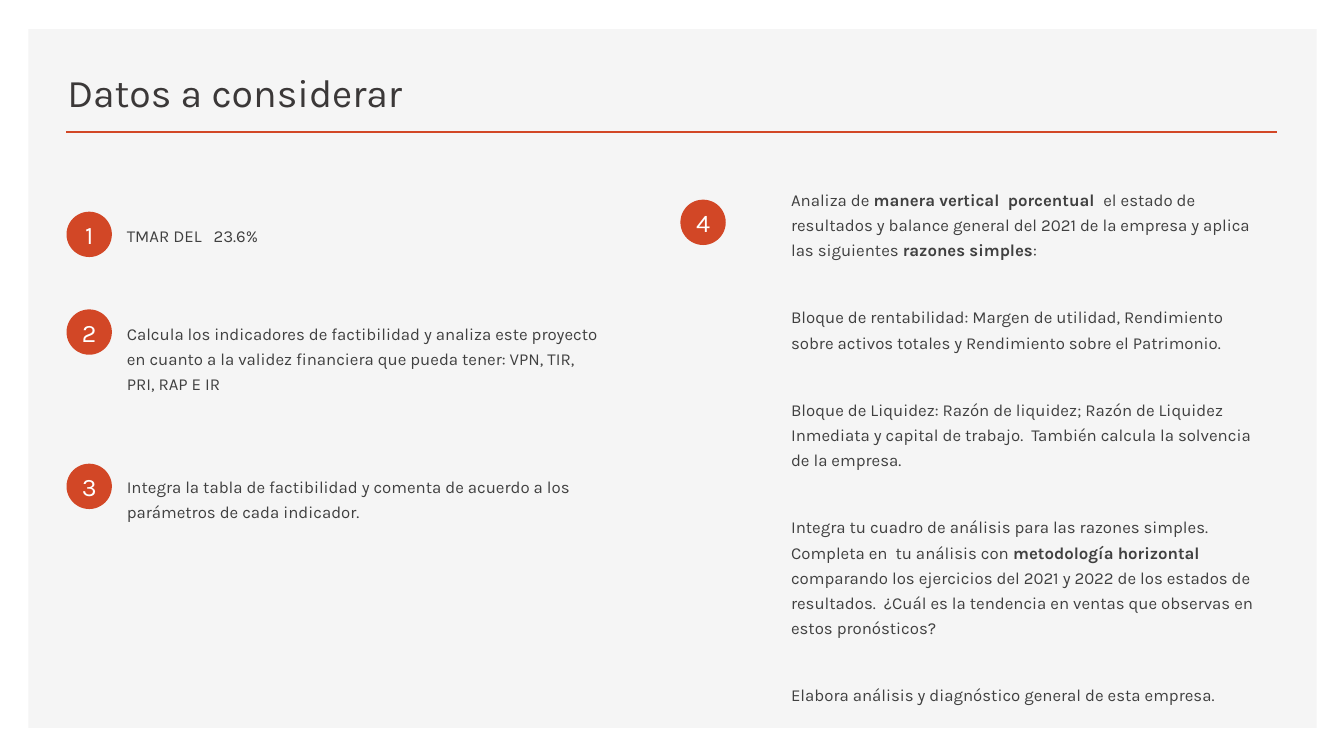
from dataclasses import dataclass

import pptx
import pptx.dml.color
import pptx.enum.shapes
import pptx.enum.text
import pptx.oxml.ns
import pptx.util
from lxml import etree

Pt = pptx.util.Pt
ALIGN = pptx.enum.text.PP_ALIGN
ANCHOR = pptx.enum.text.MSO_ANCHOR
SHAPE = pptx.enum.shapes.MSO_SHAPE

FONT = "Karla"
ORANGE = "D24726"
PANEL = "F5F5F5"
TITLE = "3B3838"
BODY = "404040"
WHITE = "FFFFFF"
BADGE = 32.4


@dataclass
class Step:
    badge_x: float
    badge_y: float
    x: float
    y: float
    w: float
    h: float
    paragraphs: list[str]
    after: float = 20


STEPS = [
    Step(47.5, 151.2, 83.5, 154.1, 361.4, 46.8, ["TMAR DEL   23.6%"], after=6),
    Step(47.5, 221, 83.5, 223.9, 355, 84.2, [
        "Calcula los indicadores de factibilidad y analiza este proyecto en cuanto "
        "a la validez financiera que pueda tener: VPN, TIR, PRI, RAP E IR",
    ]),
    Step(47.5, 331.2, 83.5, 333.4, 355, 59.8, [
        "Integra la tabla de factibilidad y comenta de acuerdo a los parámetros "
        "de cada indicador.",
    ], after=6),
    Step(486, 142.6, 558, 128.2, 355, 389.5, [
        "Analiza de **manera vertical  porcentual  **el estado de resultados y balance "
        "general del 2021 de la empresa y aplica las siguientes **razones simples**:",
        "Bloque de rentabilidad: Margen de utilidad, Rendimiento sobre activos totales "
        "y Rendimiento sobre el Patrimonio.",
        "Bloque de Liquidez: Razón de liquidez; Razón de Liquidez Inmediata y capital "
        "de trabajo.  También calcula la solvencia de la empresa.",
        "Integra tu cuadro de análisis para las razones simples. Completa en  tu análisis "
        "con **metodología horizontal **comparando los ejercicios del 2021 y 2022 de los "
        "estados de resultados.  ¿Cuál es la tendencia en ventas que observas en estos "
        "pronósticos?",
        "Elabora análisis y diagnóstico general de esta empresa.",
    ]),
]


def rgb(value: str) -> pptx.dml.color.RGBColor:
    return pptx.dml.color.RGBColor.from_string(value)


def write(tf, paragraphs: list[str], *, size: float, color: str, align=ALIGN.LEFT,
          anchor=ANCHOR.TOP, line=None, before=None, after=None) -> None:
    """Fill a text frame; text between ** marks is bold."""
    tf.word_wrap = True
    tf.vertical_anchor = anchor
    for i, text in enumerate(paragraphs):
        p = tf.add_paragraph() if i else tf.paragraphs[0]
        p.alignment = align
        p.line_spacing = line
        p.space_before = before
        p.space_after = after
        for j, part in enumerate(text.split("**")):
            r = p.add_run()
            r.text = part
            r.font.name = FONT
            r.font.size = Pt(size)
            r.font.bold = j % 2 == 1
            r.font.color.rgb = rgb(color)


def add_filled(s, kind, x: float, y: float, w: float, h: float, color: str):
    sp = s.shapes.add_shape(kind, Pt(x), Pt(y), Pt(w), Pt(h))
    sp.shadow.inherit = False
    sp.fill.solid()
    sp.fill.fore_color.rgb = rgb(color)
    sp.line.fill.background()
    return sp


def add_rule(s, x1: float, x2: float, y: float) -> None:
    c = s.shapes.add_connector(pptx.enum.shapes.MSO_CONNECTOR.STRAIGHT,
                               Pt(x1), Pt(y), Pt(x2), Pt(y))
    c.line.color.rgb = rgb(ORANGE)
    c.line.width = Pt(2)
    etree.SubElement(c._element.spPr, pptx.oxml.ns.qn("a:effectLst"))


def add_text(s, x: float, y: float, w: float, h: float, paragraphs: list[str],
             **fmt) -> None:
    sp = s.shapes.add_textbox(Pt(x), Pt(y), Pt(w), Pt(h))
    write(sp.text_frame, paragraphs, **fmt)


def add_step(s, number: int, step: Step) -> None:
    sp = add_filled(s, SHAPE.OVAL, step.badge_x, step.badge_y, BADGE, BADGE, ORANGE)
    tf = sp.text_frame
    tf.margin_left = tf.margin_right = tf.margin_top = tf.margin_bottom = 0
    write(tf, [str(number)], size=18, color=WHITE, align=ALIGN.CENTER,
          anchor=ANCHOR.MIDDLE)
    add_text(s, step.x, step.y, step.w, step.h, step.paragraphs, size=12, color=BODY,
             line=Pt(18), before=Pt(10), after=Pt(step.after))


def main() -> None:
    prs = pptx.Presentation()
    prs.slide_width, prs.slide_height = Pt(960), Pt(540)
    s = prs.slides.add_slide(prs.slide_layouts[6])
    add_filled(s, SHAPE.RECTANGLE, 20.2, 20.9, 920.2, 499, PANEL)
    add_rule(s, 47.5, 912.2, 94.3)
    add_text(s, 41, 35.3, 541.4, 50.4, ["Datos a considerar"], size=28, color=TITLE,
             anchor=ANCHOR.BOTTOM)
    for number, step in enumerate(STEPS, start=1):
        add_step(s, number, step)
    prs.save("out.pptx")


if __name__ == "__main__":
    main()
